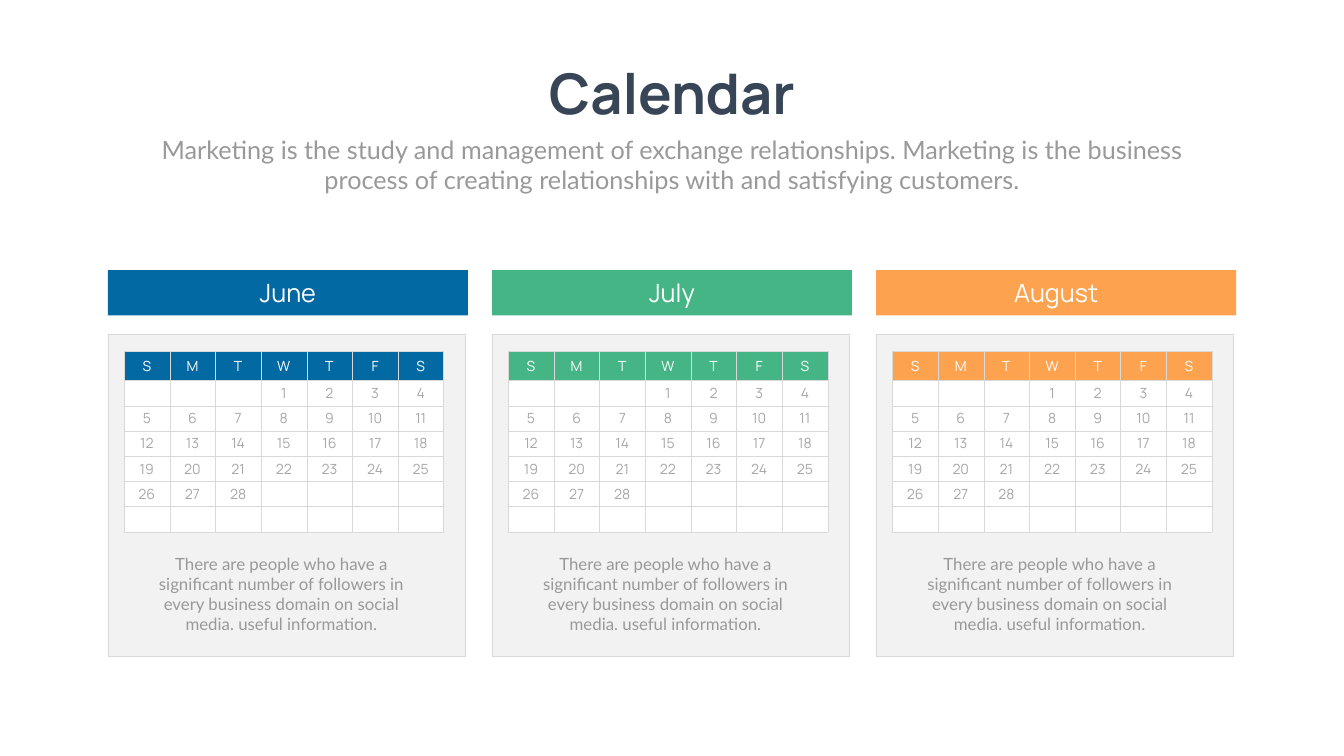
from lxml import etree
from pptx import Presentation
from pptx import util as u
from pptx.dml.color import RGBColor
from pptx.enum import shapes, text
from pptx.oxml import ns

THEME = {
    "background": "FEFFFE", "title": "374556", "body": "999999", "date": "A8A8A8",
    "white": "FFFFFF", "panel": "F2F2F2", "border": "D9D9D9",
    "heading_font": "Manrope", "body_font": "Lato",
    "title_size": 80, "lead_size": 36, "note_size": 24, "table_size": 20,
    "border_width": 0.25,
}
MONTHS = [("June", "0369A2"), ("July", "46B586"), ("August", "FDA24E")]
WEEKDAYS = "SMTWTFS"
FIRST_WEEKDAY, LAST_DATE, WEEKS = 3, 28, 6
NOTE = ("There are people who have a significant number of followers in "
        "every business domain on social media. useful information.")


def write(frame, words, size, font, color, bold=False, **frame_format):
    """Put one centred paragraph in a text frame or table cell."""
    for name, value in frame_format.items():
        setattr(frame, name, value)
    para = getattr(frame, "text_frame", frame).paragraphs[0]
    para.alignment = text.PP_ALIGN.CENTER
    para.space_before = u.Pt(0)
    span = para.add_run()
    span.text = words
    for name, value in {"size": u.Pt(THEME[size]), "name": THEME[font], "bold": bold}.items():
        setattr(span.font, name, value)
    span.font.color.rgb = RGBColor.from_string(THEME[color])


def add_box(left, top, width, height, fill):
    box = page.shapes.add_shape(shapes.MSO_SHAPE.RECTANGLE, u.Inches(left), u.Inches(top),
                                u.Inches(width), u.Inches(height))
    box.shadow.inherit = False
    box.fill.solid()
    box.fill.fore_color.rgb = RGBColor.from_string(fill)
    box.line.fill.background()
    return box


deck = Presentation()
deck.slide_width, deck.slide_height = u.Inches(26.66), u.Inches(15)
page = deck.slides.add_slide(deck.slide_layouts[0])
page.background.fill.solid()
page.background.fill.fore_color.rgb = RGBColor.from_string(THEME["background"])

# Title and lead sentence
title, lead = page.placeholders
for holder, place in [(title, (10.53, 1.12, 5.6, 1.45)), (lead, (2.92, 2.61, 20.82, 1.31))]:
    holder.left, holder.top, holder.width, holder.height = map(u.Inches, place)
top_anchor = {"vertical_anchor": text.MSO_ANCHOR.TOP,
              "auto_size": text.MSO_AUTO_SIZE.SHAPE_TO_FIT_TEXT}
write(title.text_frame, "Calendar", "title_size", "heading_font", "title", True,
      word_wrap=False, **top_anchor)
write(lead.text_frame,
      "Marketing is the study and management of exchange relationships. Marketing is the "
      "business process of creating relationships with and satisfying customers.",
      "lead_size", "body_font", "body", word_wrap=True, **top_anchor)

for index, (month, color) in enumerate(MONTHS):
    left = 2.14 + index * 7.62

    # Panel and month bar
    panel = add_box(left, 6.63, 7.08, 6.39, THEME["panel"])
    panel.line.color.rgb = RGBColor.from_string(THEME["border"])
    panel.line.width = u.Pt(THEME["border_width"])
    bar = add_box(left, 5.36, 7.14, 0.9, color)
    write(bar.text_frame, month, "lead_size", "heading_font", "white",
          word_wrap=False, vertical_anchor=text.MSO_ANCHOR.MIDDLE)

    # Calendar grid
    table = page.shapes.add_table(WEEKS + 1, 7, u.Inches(left + 0.32), u.Inches(6.97),
                                  u.Inches(6.34), u.Inches(3.58)).table
    table.first_row = table.horz_banding = False
    for row_index, row in enumerate(table.rows):
        row.height = u.Inches(0.5 if row_index else 0.58)
        for column, cell in enumerate(row.cells):
            properties = cell._tc.get_or_add_tcPr()
            for side in ("L", "R", "T", "B"):
                edge = etree.SubElement(properties, ns.qn(f"a:ln{side}"),
                                        w=str(u.Pt(THEME["border_width"])))
                paint = etree.SubElement(edge, ns.qn("a:solidFill"))
                etree.SubElement(paint, ns.qn("a:srgbClr"), val=THEME["border"])
            cell.fill.solid()
            cell.fill.fore_color.rgb = RGBColor.from_string(THEME["white"] if row_index else color)
            cell.margin_left = cell.margin_right = cell.margin_top = cell.margin_bottom = 0
            cell.vertical_anchor = text.MSO_ANCHOR.MIDDLE
            date = (row_index - 1) * 7 + column - FIRST_WEEKDAY + 1
            if row_index == 0:
                write(cell, WEEKDAYS[column], "table_size", "heading_font", "white")
            elif 1 <= date <= LAST_DATE:
                write(cell, str(date), "table_size", "heading_font", "date")

    # Note under the grid
    note = page.shapes.add_textbox(u.Inches(left + 0.49), u.Inches(10.93),
                                   u.Inches(5.9), u.Inches(1.72))
    write(note.text_frame, NOTE, "note_size", "body_font", "body", word_wrap=True, **top_anchor)

deck.save("out.pptx")
